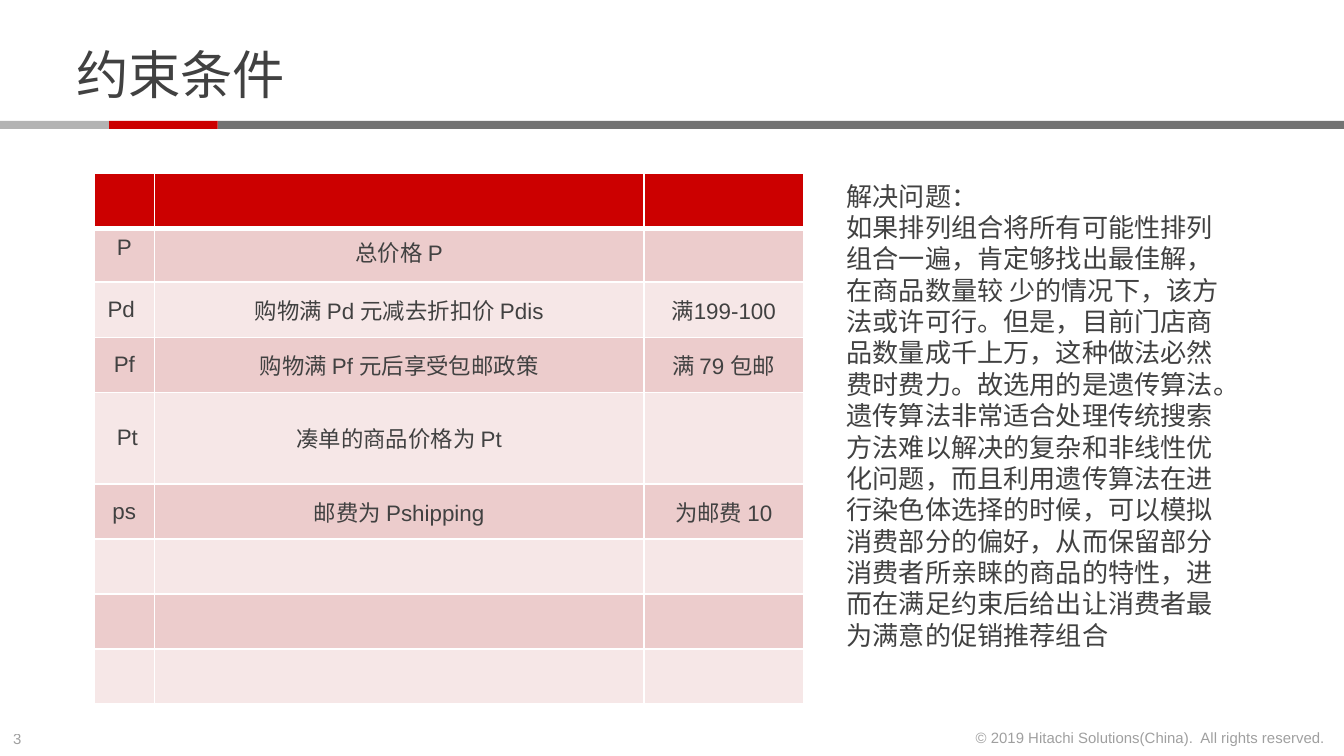
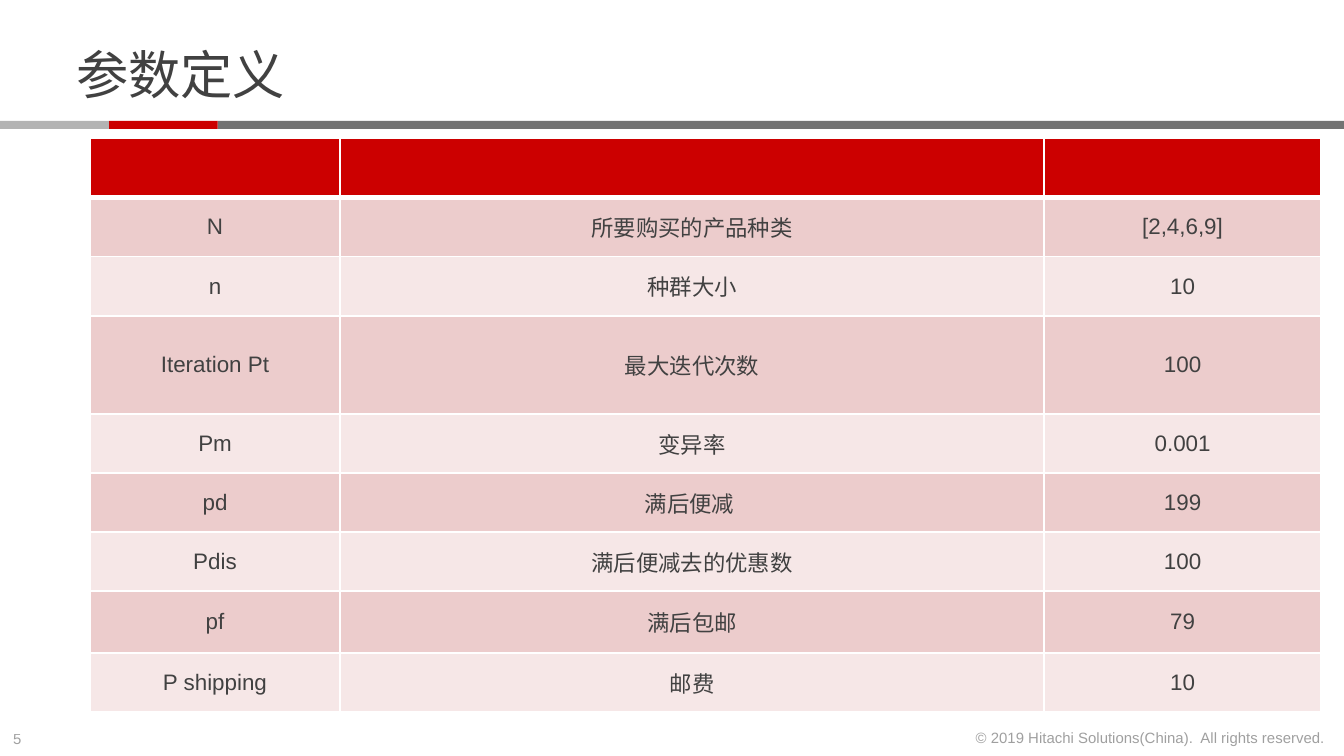
import pptx
import pptx.dml.color
import pptx.enum.shapes
import pptx.enum.text
import pptx.oxml
import pptx.oxml.ns
import pptx.util

Inches = pptx.util.Inches
Align = pptx.enum.text.PP_ALIGN
Anchor = pptx.enum.text.MSO_ANCHOR
Fit = pptx.enum.text.MSO_AUTO_SIZE

FONT = "Arial"
COLORS = {
    "text": "414141",
    "red": "CC0000",
    "dark": "737373",
    "light": "B3B3B3",
    "odd": "ECCCCC",
    "even": "F6E7E7",
    "white": "FFFFFF",
}
BANDS = [(1.62, 8.38, "dark"), (0.81, 0.81, "red"), (0, 0.81, "light")]
RIGHTS = "© 2019 Hitachi Solutions(China).  All rights reserved."

LIMITS = [
    ("", "", ""),
    ("P", "总价格 P", ""),
    ("Pd ", "购物满 Pd 元减去折扣价 Pdis", "满199-100"),
    ("Pf", "购物满 Pf 元后享受包邮政策", "满 79 包邮"),
    (" Pt", "凑单的商品价格为 Pt", ""),
    ("ps", "邮费为 Pshipping", "为邮费 10"),
    ("", "", ""),
    ("", "", ""),
    ("", "", ""),
]
PARAMS = [
    ("", "", ""),
    ("N", "所要购买的产品种类", "[2,4,6,9]"),
    ("n", "种群大小", "10"),
    ("Iteration Pt", "最大迭代次数", "100"),
    ("Pm", "变异率", "0.001"),
    ("pd", "满后便减 ", "199"),
    ("Pdis", "满后便减去的优惠数", "100"),
    ("pf", "满后包邮", "79"),
    ("P shipping", "邮费", "10"),
]
ANSWER = (
    "解决问题：\n"
    "如果排列组合将所有可能性排列组合一遍，肯定够找出最佳解，"
    "在商品数量较 少的情况下，该方法或许可行。"
    "但是，目前门店商品数量成千上万，这种做法必然费时费力。"
    "故选用的是遗传算法。"
    "遗传算法非常适合处理传统搜索方法难以解决的复杂和非线性优化问题，"
    "而且利用遗传算法在进行染色体选择的时候，可以模拟消费部分的偏好，"
    "从而保留部分消费者所亲睐的商品的特性，"
    "进而在满足约束后给出让消费者最为满意的促销推荐组合"
)


def color(name):
    return pptx.dml.color.RGBColor.from_string(COLORS[name])


def style(frame, text, size, align=Align.LEFT):
    frame.text = text
    for para in frame.paragraphs:
        para.alignment = align
        for run in para.runs:
            run.font.size = pptx.util.Pt(size)
            run.font.name = FONT
            run.font.color.rgb = color("text")


def fade(frame):
    """Make the text half transparent."""
    for tint in frame._txBody.iter(pptx.oxml.ns.qn("a:srgbClr")):
        alpha = pptx.oxml.parse_xml(
            f'<a:alpha {pptx.oxml.ns.nsdecls("a")} val="50000"/>')
        tint.append(alpha)


def add_label(slide, box, text, size, align=Align.LEFT, wrap=True):
    frame = slide.shapes.add_textbox(*map(Inches, box)).text_frame
    frame.word_wrap = wrap
    frame.auto_size = Fit.SHAPE_TO_FIT_TEXT
    style(frame, text, size, align)
    return frame


def add_block(slide, box, fill):
    block = slide.shapes.add_shape(
        pptx.enum.shapes.MSO_SHAPE.RECTANGLE, *map(Inches, box))
    block.shadow.inherit = False
    block.fill.solid()
    block.fill.fore_color.rgb = color(fill)
    block.line.fill.background()
    return block


def add_note(slide, box, text):
    frame = add_block(slide, box, "white").text_frame
    frame.word_wrap = True
    frame.auto_size = Fit.SHAPE_TO_FIT_TEXT
    frame.vertical_anchor = Anchor.TOP
    style(frame, text, 14)


def add_edge(cell, side, points):
    line = pptx.oxml.parse_xml(
        f'<a:ln{side} {pptx.oxml.ns.nsdecls("a")} w="{pptx.util.Pt(points)}">'
        f'<a:solidFill><a:srgbClr val="{COLORS["white"]}"/></a:solidFill>'
        f'</a:ln{side}>')
    cell._tc.get_or_add_tcPr().append(line)


def add_grid(slide, box, widths, heights, rows, high=()):
    """Draw a banded table; rows listed in high keep their text at the top."""
    holder = slide.shapes.add_table(
        len(rows), len(widths), *map(Inches, box))
    grid = holder.table
    for col, width in zip(grid.columns, widths):
        col.width = Inches(width)
    for row, height in zip(grid.rows, heights):
        row.height = Inches(height)
    holder.width, holder.height = map(Inches, box[2:])
    for r, texts in enumerate(rows):
        fill = "red" if r == 0 else ("even", "odd")[r % 2]
        for c, text in enumerate(texts):
            cell = grid.cell(r, c)
            for side in "LRTB":
                thick = (r, side) in ((0, "B"), (1, "T"))
                add_edge(cell, side, 3 if thick else 1)
            cell.fill.solid()
            cell.fill.fore_color.rgb = color(fill)
            cell.vertical_anchor = Anchor.TOP if r in high else Anchor.MIDDLE
            if text:
                style(cell.text_frame, text, 12, Align.CENTER)


def add_page(deck, title, number):
    slide = deck.slides.add_slide(deck.slide_layouts[6])
    fade(add_label(slide, (0, 5.38, 0.34, 0.24), number, 8, wrap=False))
    for left, width, fill in BANDS:
        add_block(slide, (left, 0.9, width, 0.06), fill)
    fade(add_label(slide, (7.12, 5.37, 2.84, 0.24), RIGHTS, 8,
                   Align.RIGHT, wrap=False))
    head = add_label(slide, (0.47, 0.26, 6.8, 0.57), title, 28)
    head.vertical_anchor = Anchor.MIDDLE
    return slide


def main():
    deck = pptx.Presentation()
    deck.slide_width = Inches(10)
    deck.slide_height = Inches(10 * 9 / 16)

    slide = add_page(deck, "约束条件", "3")
    add_grid(slide, (0.7, 1.29, 5.28, 3.98), [0.45, 3.64, 1.19],
             [0.41, 0.33, 0.41, 0.41, 0.68] + [0.41] * 4, LIMITS, high=(1,))
    add_note(slide, (6.2, 1.29, 3.05, 3.63), ANSWER)

    slide = add_page(deck, "参数定义", "5")
    add_grid(slide, (0.67, 1.03, 9.16, 4.27), [1.86, 5.24, 2.06],
             [0.44] * 3 + [0.73] + [0.44] * 3 + [0.46, 0.44], PARAMS)

    deck.save("out.pptx")


if __name__ == "__main__":
    main()
